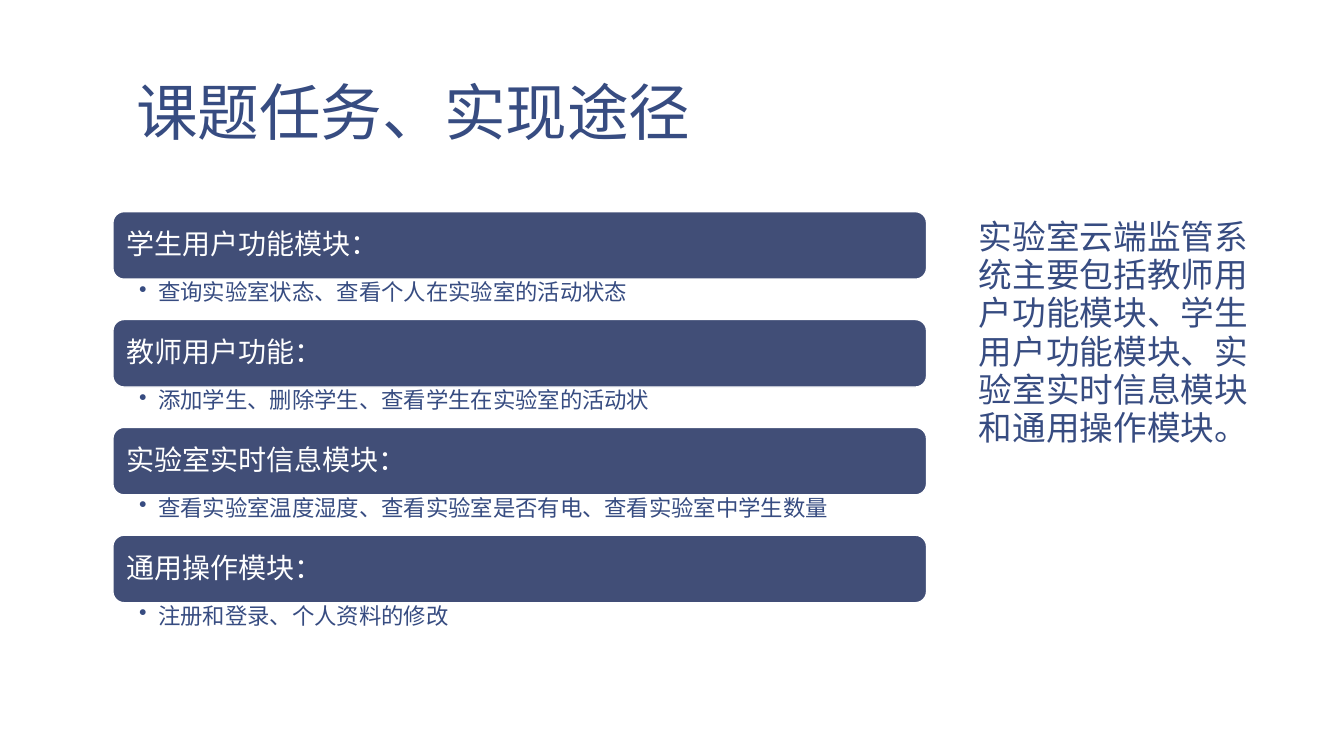
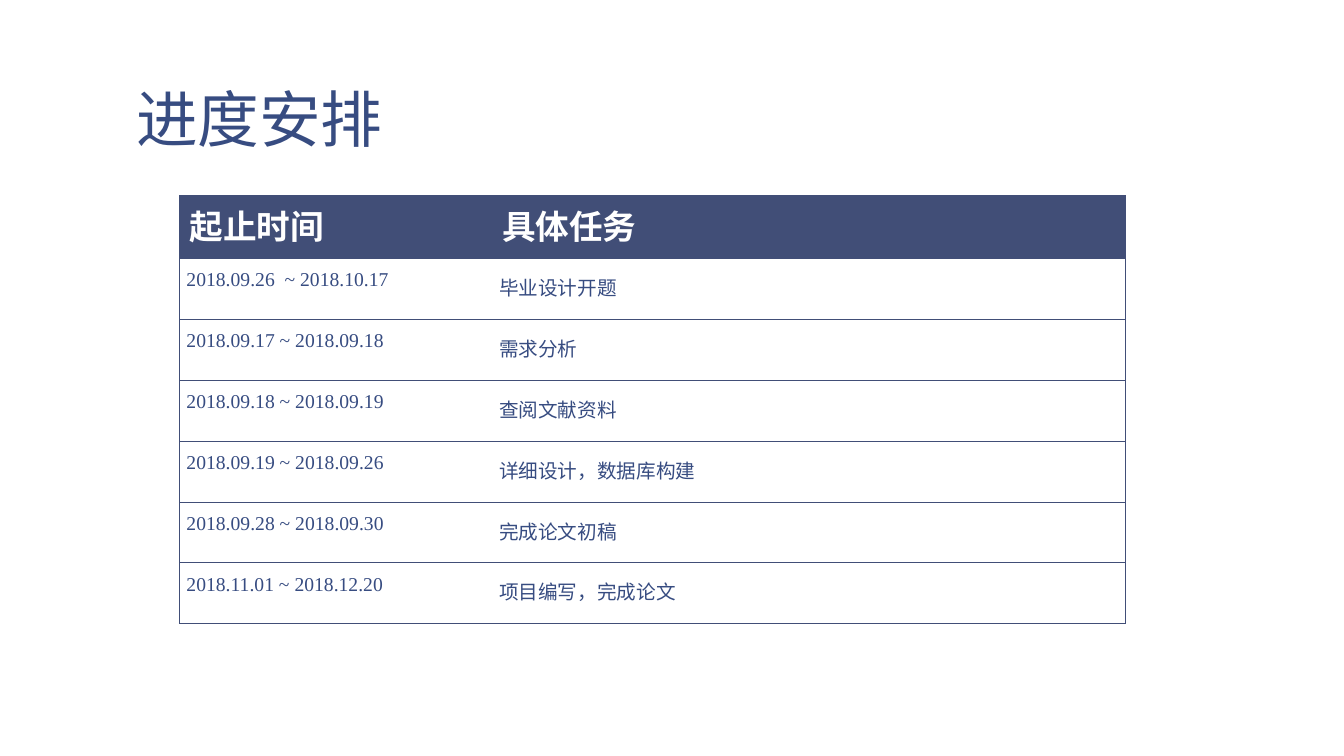
from dataclasses import dataclass

from lxml.etree import SubElement
from pptx import Presentation
from pptx.dml.color import RGBColor
from pptx.enum.lang import MSO_LANGUAGE_ID
from pptx.enum.shapes import MSO_SHAPE
from pptx.enum.text import MSO_ANCHOR, PP_ALIGN
from pptx.oxml.ns import qn
from pptx.util import Pt

SCALE = 9144


def px(length):
    return length * SCALE


@dataclass(frozen=True)
class Theme:
    band: str = "414E77"
    ink: str = "374C81"
    paper: str = "FFFFFF"
    chinese_font: str = "Noto Sans CJK SC"
    card_font: str = "Quicksand"
    table_font: str = "Times New Roman"
    title_size: int = 44
    body_size: int = 24
    card_size: int = 20
    detail_size: int = 16
    cell_size: int = 14


class SlideBuilder:
    def __init__(self, deck, theme):
        self.deck = deck
        self.theme = theme
        self.page = None

    def add_page(self, title, title_height):
        self.page = self.deck.slides.add_slide(self.deck.slide_layouts[5])
        self.fill(self.page.background, self.theme.paper)
        box = self.page.shapes.title
        box.left, box.top, box.width, box.height = map(px, (122, 8, 1111, title_height))
        self.set_text(box.text_frame, title, self.theme.chinese_font, self.theme.title_size,
                      self.theme.ink, (13, 7, 13, 7), 0.85, MSO_ANCHOR.BOTTOM)

    def fill(self, target, color):
        target.fill.solid()
        target.fill.fore_color.rgb = RGBColor.from_string(color)

    def style(self, para, font, size, color, spacing=None, align=PP_ALIGN.LEFT, bold=False):
        para.alignment = align
        para.line_spacing = spacing
        para.font.name = font
        para.font.size = Pt(size)
        para.font.bold = bold
        para.font.language_id = MSO_LANGUAGE_ID.SIMPLIFIED_CHINESE
        para.font.color.rgb = RGBColor.from_string(color)
        defaults = para._p.pPr.find(qn("a:defRPr"))
        east_asian = SubElement(defaults, qn("a:ea"), typeface=self.theme.chinese_font)
        defaults.find(qn("a:latin")).addnext(east_asian)

    def set_text(self, frame, text, font, size, color, insets, spacing, anchor=MSO_ANCHOR.TOP):
        frame.word_wrap = True
        frame.vertical_anchor = anchor
        (frame.margin_left, frame.margin_top,
         frame.margin_right, frame.margin_bottom) = map(px, insets)
        para = frame.paragraphs[0]
        para.text = text
        self.style(para, font, size, color, spacing)
        return para

    def add_text(self, area, text, font, size, insets, spacing):
        box = self.page.shapes.add_textbox(*map(px, area))
        return self.set_text(box.text_frame, text, font, size, self.theme.ink, insets, spacing)

    def add_bullet(self, para, indent):
        properties = para._p.pPr
        properties.set("marL", str(px(indent)))
        properties.set("indent", str(-px(indent)))
        bullet = SubElement(properties, qn("a:buChar"), char="•")
        properties.find(qn("a:defRPr")).addprevious(bullet)

    def add_card(self, left, top, width, heading, detail, heading_height, detail_height):
        theme = self.theme
        card = self.page.shapes.add_shape(
            MSO_SHAPE.ROUNDED_RECTANGLE, *map(px, (left, top, width, heading_height)))
        card.shadow.inherit = False
        self.fill(card, theme.band)
        card.line.color.rgb = RGBColor.from_string(theme.paper)
        card.line.width = Pt(1)
        self.set_text(card.text_frame, heading, theme.card_font, theme.card_size, theme.paper,
                      (10, 8, 10, 8), 0.9, MSO_ANCHOR.MIDDLE)
        para = self.add_text((left, top + heading_height, width, detail_height), detail,
                             theme.card_font, theme.detail_size, (26, 2, 12, 2), 0.9)
        self.add_bullet(para, 19)

    def add_borders(self, cell, sides):
        properties = cell._tc.get_or_add_tcPr()
        for position, side in enumerate(sides):
            line = SubElement(properties, qn(f"a:ln{side}"), w=str(Pt(0.5)))
            color = SubElement(line, qn("a:solidFill"))
            SubElement(color, qn("a:srgbClr"), val=self.theme.band)
            properties.insert(position, line)

    def add_schedule(self, area, rows, column_widths, header_height):
        theme = self.theme
        frame = self.page.shapes.add_table(len(rows), len(column_widths), *map(px, area))
        table = frame.table
        table.first_row = table.horz_banding = False
        style_id = table._tbl.tblPr.find(qn("a:tableStyleId"))
        style_id.text = "{2D5ABB26-0587-4C30-8999-92F81FD0307C}"
        for column, width in zip(table.columns, column_widths):
            column.width = px(width)
        body_height = px(area[3] - header_height) // (len(rows) - 1)
        for row_index, texts in enumerate(rows):
            table.rows[row_index].height = body_height if row_index else px(header_height)
            for column_index, text in enumerate(texts):
                cell = table.cell(row_index, column_index)
                cell.text = text
                para = cell.text_frame.paragraphs[0]
                if row_index:
                    cell.fill.background()
                    cell.margin_left = cell.margin_right = px(7)
                    cell.margin_top = cell.margin_bottom = 0
                    self.style(para, theme.table_font, theme.cell_size, theme.ink,
                               1.5, PP_ALIGN.JUSTIFY)
                else:
                    self.fill(cell, theme.band)
                    self.style(para, theme.card_font, theme.body_size, theme.paper, bold=True)
                self.add_borders(cell, "RTB" if column_index else "LTB")


MODULES = (
    ("学生用户功能模块：", "查询实验室状态、查看个人在实验室的活动状态"),
    ("教师用户功能：", "添加学生、删除学生、查看学生在实验室的活动状"),
    ("实验室实时信息模块：", "查看实验室温度湿度、查看实验室是否有电、查看实验室中学生数量"),
    ("通用操作模块：", "注册和登录、个人资料的修改"),
)

SUMMARY = "实验室云端监管系统主要包括教师用户功能模块、学生用户功能模块、实验室实时信息模块和通用操作模块。"

SCHEDULE = (
    ("起止时间", "具体任务"),
    ("2018.09.26  ~ 2018.10.17", "毕业设计开题"),
    ("2018.09.17 ~ 2018.09.18", "需求分析"),
    ("2018.09.18 ~ 2018.09.19", "查阅文献资料"),
    ("2018.09.19 ~ 2018.09.26", "详细设计，数据库构建"),
    ("2018.09.28 ~ 2018.09.30", "完成论文初稿"),
    ("2018.11.01 ~ 2018.12.20", "项目编写，完成论文"),
)


def build_tasks(builder):
    builder.add_page("课题任务、实现途径", 146)
    heading_height, detail_height = 67, 40
    for index, (heading, detail) in enumerate(MODULES):
        top = 210 + index * (heading_height + detail_height)
        builder.add_card(112, top, 807, heading, detail, heading_height, detail_height)
    builder.add_text((958, 210, 316, 496), SUMMARY, builder.theme.chinese_font,
                     builder.theme.body_size, (13, 7, 13, 7), 0.95)


def build_schedule(builder):
    builder.add_page("进度安排", 153)
    builder.add_schedule((178, 194, 938, 425), SCHEDULE, (310, 628), 62)


def main():
    deck = Presentation()
    deck.slide_width, deck.slide_height = px(1333), px(750)
    builder = SlideBuilder(deck, Theme())
    build_tasks(builder)
    build_schedule(builder)
    deck.save("out.pptx")


if __name__ == "__main__":
    main()
